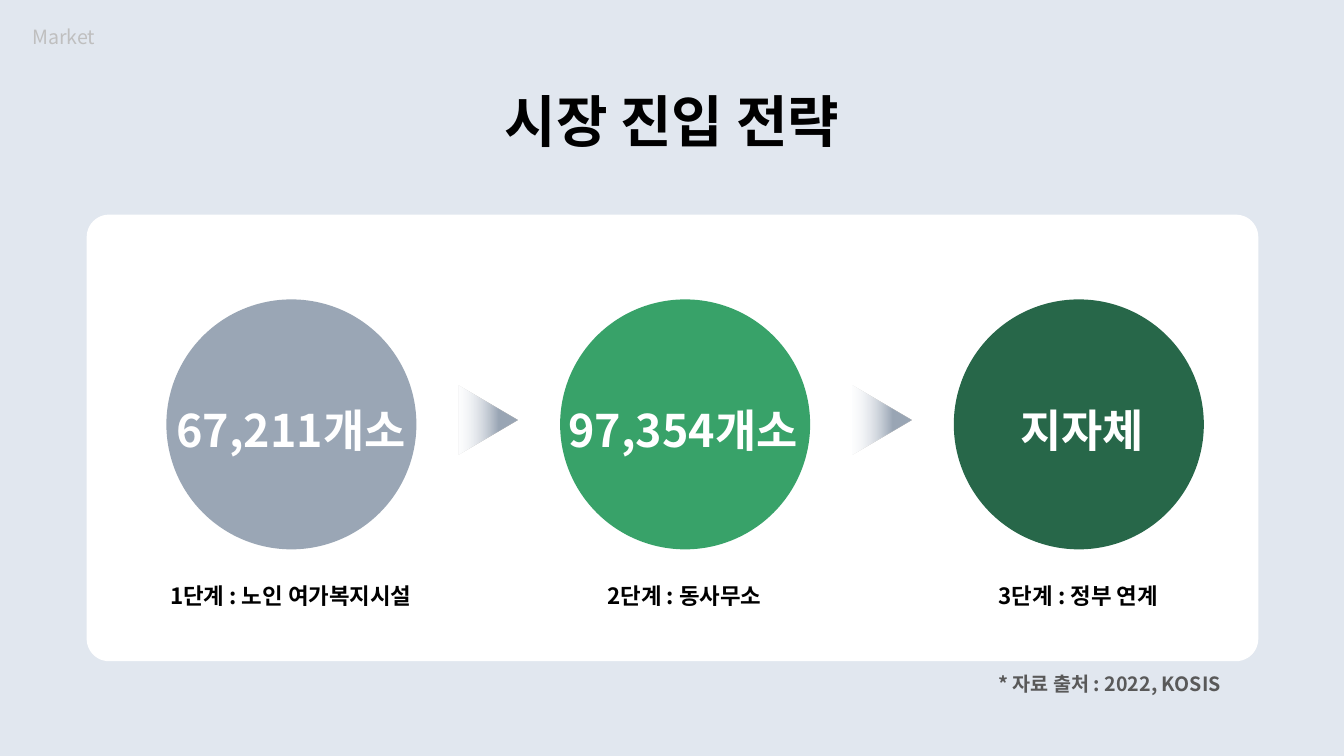
from lxml import etree
from pptx import Presentation
from pptx.dml.color import RGBColor
from pptx.enum import shapes, text
from pptx.oxml import ns
from pptx.util import Inches, Pt

FONT = "Noto Sans CJK KR"
BACKGROUND = RGBColor(0xE1, 0xE7, 0xEF)
WHITE = RGBColor(0xFF, 0xFF, 0xFF)
BLACK = RGBColor(0x00, 0x00, 0x00)
LIGHT_GRAY = RGBColor(0xBF, 0xBF, 0xBF)
DARK_GRAY = RGBColor(0x59, 0x59, 0x59)
SLATE = RGBColor(0x9A, 0xA6, 0xB5)
GREEN = RGBColor(0x38, 0xA2, 0x69)
DARK_GREEN = RGBColor(0x27, 0x67, 0x49)
MIST = RGBColor(0xF6, 0xF8, 0xFC)

LEFT = text.PP_ALIGN.LEFT
CENTER = text.PP_ALIGN.CENTER
RIGHT = text.PP_ALIGN.RIGHT

STEPS = [
    ("67,211개소", "1단계 : 노인 여가복지시설", SLATE, 1.41),
    ("97,354개소", "2단계 : 동사무소", GREEN, 5.3),
    ("지자체", "3단계 : 정부 연계", DARK_GREEN, 9.26),
]
STEP_LEFT = 1.65
STEP_PITCH = 3.905
CIRCLE_SIZE = 2.48


def write_text(shape, content, size, color, alignment, bold=True):
    frame = shape.text_frame
    frame.text = content
    frame.word_wrap = True
    frame.auto_size = text.MSO_AUTO_SIZE.SHAPE_TO_FIT_TEXT
    frame.vertical_anchor = text.MSO_ANCHOR.TOP
    paragraph = frame.paragraphs[0]
    paragraph.alignment = alignment
    for run in paragraph.runs:
        run.font.size = Pt(size)
        run.font.bold = bold
        run.font.color.rgb = color
        run.font.name = FONT
        properties = run._r.get_or_add_rPr()
        etree.SubElement(properties, ns.qn("a:ea"), typeface=FONT)


def add_label(slide, left, top, width, height, *style):
    box = slide.shapes.add_textbox(
        Inches(left), Inches(top), Inches(width), Inches(height))
    write_text(box, *style)


def add_title(slide, content):
    title = slide.shapes.title
    title.left, title.top = Inches(0.78), Inches(0.81)
    title.width, title.height = Inches(11.77), Inches(0.77)
    write_text(title, content, 40, BLACK, CENTER)


def add_plain_shape(slide, kind, left, top, width, height, color):
    shape = slide.shapes.add_shape(
        kind, Inches(left), Inches(top), Inches(width), Inches(height))
    shape.shadow.inherit = False
    shape.fill.solid()
    shape.fill.fore_color.rgb = color
    shape.line.fill.background()
    return shape


def add_fading_arrow(slide, left):
    arrow = add_plain_shape(
        slide, shapes.MSO_SHAPE.ISOSCELES_TRIANGLE, left, 3.88, 0.68, 0.58, SLATE)
    arrow.rotation = 90
    solid = arrow._element.spPr.find(ns.qn("a:solidFill"))
    gradient = etree.fromstring(
        f'<a:gradFill {ns.nsdecls("a")} rotWithShape="1"><a:gsLst>'
        f'<a:gs pos="0"><a:srgbClr val="{MIST}"><a:alpha val="18000"/></a:srgbClr></a:gs>'
        f'<a:gs pos="68000"><a:srgbClr val="{SLATE}"/></a:gs>'
        '</a:gsLst><a:lin ang="16200000" scaled="0"/></a:gradFill>')
    solid.getparent().replace(solid, gradient)


def add_step(slide, index, value, caption, color, value_left):
    left = STEP_LEFT + index * STEP_PITCH
    add_plain_shape(slide, shapes.MSO_SHAPE.OVAL,
                    left, 2.97, CIRCLE_SIZE, CIRCLE_SIZE, color)
    add_label(slide, value_left, 3.95, 2.95, 0.64, value, 32, WHITE, CENTER)
    add_label(slide, left - 0.24, 5.73, 2.95, 0.37, caption, 16, BLACK, CENTER)
    if index < len(STEPS) - 1:
        add_fading_arrow(slide, left + 2.85)


def main():
    presentation = Presentation()
    presentation.slide_width = Inches(13.33)
    presentation.slide_height = Inches(7.5)
    slide = presentation.slides.add_slide(presentation.slide_layouts[5])
    slide.background.fill.solid()
    slide.background.fill.fore_color.rgb = BACKGROUND

    add_title(slide, "시장 진입 전략")
    add_label(slide, 0.22, 0.2, 6.67, 0.34, "Market", 14, LIGHT_GRAY, LEFT, False)
    panel = add_plain_shape(slide, shapes.MSO_SHAPE.ROUNDED_RECTANGLE,
                            0.86, 2.13, 11.62, 4.43, WHITE)
    panel.adjustments[0] = 0.05
    for index, step in enumerate(STEPS):
        add_step(slide, index, *step)
    add_label(slide, 5.18, 6.62, 7.03, 0.34,
              "* 자료 출처 : 2022, KOSIS", 14, DARK_GRAY, RIGHT)

    presentation.save("out.pptx")


if __name__ == "__main__":
    main()
